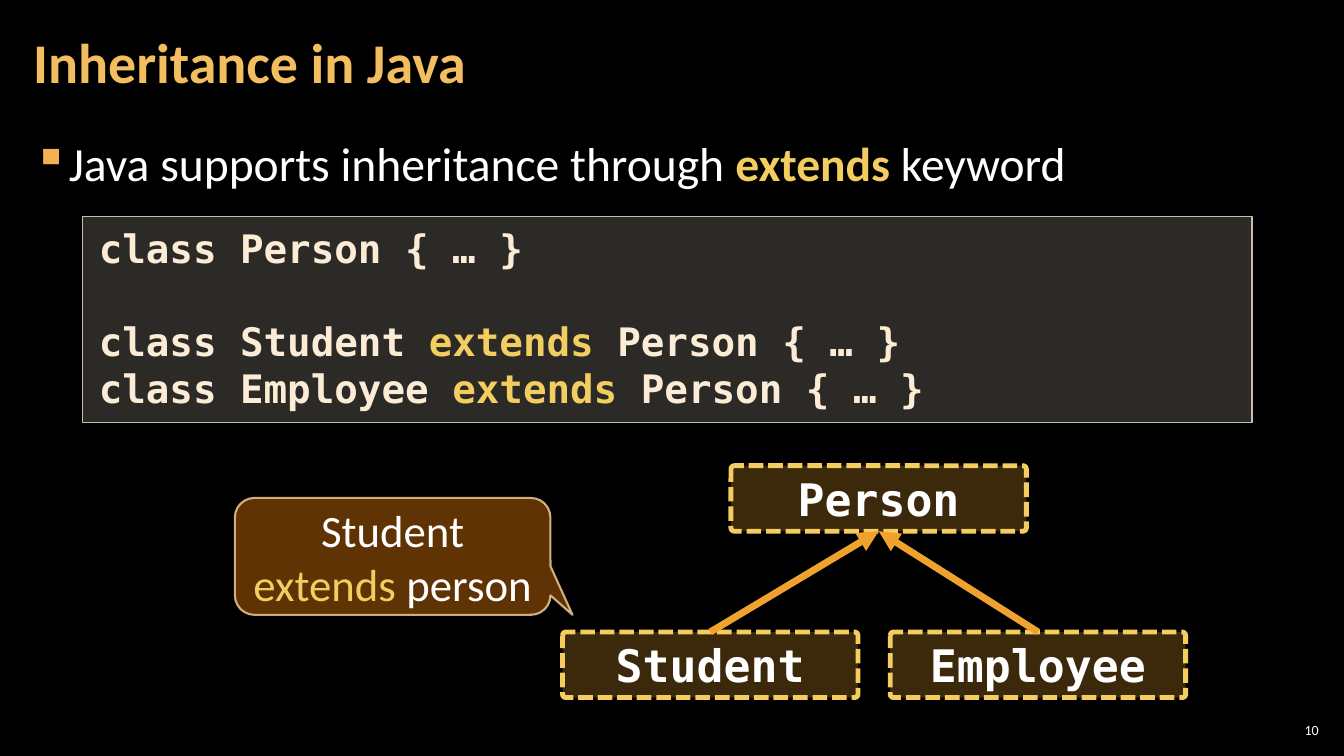
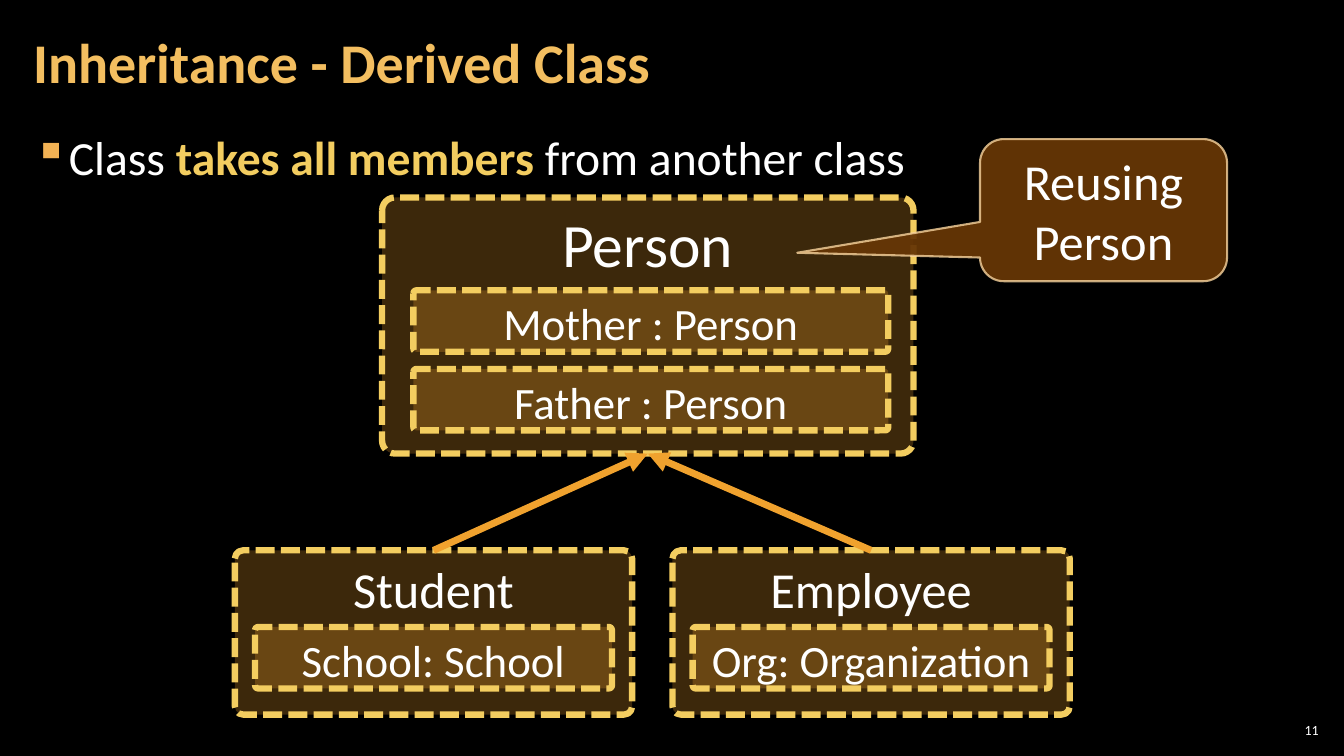
from lxml import etree
from pptx import Presentation
from pptx import util as u
from pptx.dml.color import RGBColor
from pptx.enum import dml, shapes, text
from pptx.oxml.ns import qn

BLACK = RGBColor(0x00, 0x00, 0x00)
WHITE = RGBColor(0xFF, 0xFF, 0xFF)
TITLE_GOLD = RGBColor(0xF3, 0xBE, 0x60)
BULLET_GOLD = RGBColor(0xF2, 0xB2, 0x54)
YELLOW = RGBColor(0xF3, 0xCD, 0x60)
ORANGE = RGBColor(0xF0, 0xA2, 0x2E)
CODE_TEXT = RGBColor(0xFC, 0xEC, 0xD5)
CODE_FILL = RGBColor(0xD9, 0xD5, 0xC7)
CODE_EDGE = RGBColor(0xC7, 0xBF, 0xAC)
CALLOUT_FILL = RGBColor(0x66, 0x36, 0x06)
CALLOUT_EDGE = RGBColor(0xF8, 0xD4, 0x9E)
SANS = "Calibri"
MONO = "DejaVu Sans Mono"


def set_opacity(parent, percent):
    for color in parent.iter(qn("a:srgbClr")):
        etree.SubElement(color, qn("a:alpha"), val=str(percent * 1000))


class Deck:
    def __init__(self):
        self.prs = Presentation()
        self.prs.slide_width = u.Inches(13.33)
        self.prs.slide_height = u.Inches(7.5)
        self.slide = None

    def new_slide(self, title, number):
        self.slide = self.prs.slides.add_slide(self.prs.slide_layouts[6])
        background = self.slide.background.fill
        background.solid()
        background.fore_color.rgb = BLACK
        heading = self.text_area(0.21, 0.04, 10.47, 1.21, (0.12, 0.04))
        heading.vertical_anchor = text.MSO_ANCHOR.MIDDLE
        line = self.add_words(heading.paragraphs[0], title, 40, TITLE_GOLD, bold=True)
        line.line_spacing = 0.9
        footer = self.text_area(12.65, 7.14, 0.47, 0.21, (0.04, 0.04))
        footer.vertical_anchor = text.MSO_ANCHOR.MIDDLE
        page = self.add_words(footer.paragraphs[0], str(number), 10)
        page.alignment = text.PP_ALIGN.RIGHT

    def inset(self, frame, margins):
        frame.word_wrap = True
        frame.margin_left = frame.margin_right = u.Inches(margins[0])
        frame.margin_top = frame.margin_bottom = u.Inches(margins[1])
        return frame

    def text_area(self, left, top, width, height, margins):
        area = self.slide.shapes.add_textbox(
            u.Inches(left), u.Inches(top), u.Inches(width), u.Inches(height))
        return self.inset(area.text_frame, margins)

    def add_words(self, paragraph, marked, size, color=WHITE, face=SANS,
                  bold=False, bold_keywords=False):
        font = paragraph.font
        font.size, font.name = u.Pt(size), face
        if bold:
            font.bold = True
        pieces = marked.split("*")
        if len(pieces) == 1:
            font.color.rgb = color
        for index, piece in enumerate(pieces):
            run = paragraph.add_run()
            run.text = piece
            if len(pieces) > 1:
                keyword = index % 2 == 1
                run.font.color.rgb = YELLOW if keyword else color
                if keyword and bold_keywords:
                    run.font.bold = True
        return paragraph

    def bullet(self, marked, top, spacing):
        body = self.text_area(0.21, top, 12.91, 6.09, (0.12, 0.04))
        point = self.add_words(body.paragraphs[0], marked, 34, bold_keywords=True)
        point.line_spacing = spacing
        point.space_before = point.space_after = u.Pt(6)
        props = point._p.get_or_add_pPr()
        props.set("marL", str(u.Inches(0.33)))
        props.set("indent", str(u.Inches(-0.33)))
        tint = etree.Element(qn("a:buClr"))
        etree.SubElement(tint, qn("a:srgbClr"), val=str(BULLET_GOLD))
        mark = etree.Element(qn("a:buChar"), char="▪")
        for part in (tint, mark):
            props.find(qn("a:defRPr")).addprevious(part)

    def panel(self, kind, left, top, width, height, fill, opacity, edge, weight):
        panel = self.slide.shapes.add_shape(
            kind, u.Inches(left), u.Inches(top), u.Inches(width), u.Inches(height))
        panel.shadow.inherit = False
        panel.fill.solid()
        panel.fill.fore_color.rgb = fill
        set_opacity(panel._element.spPr.find(qn("a:solidFill")), opacity)
        panel.line.color.rgb = edge
        panel.line.width = u.Pt(weight)
        panel.text_frame.word_wrap = True
        panel.text_frame.vertical_anchor = text.MSO_ANCHOR.TOP
        return panel

    def code(self, left, top, width, height, blocks):
        panel = self.panel(shapes.MSO_SHAPE.RECTANGLE, left, top, width, height,
                           CODE_FILL, 20, CODE_EDGE, 1)
        frame = self.inset(panel.text_frame, (0.16, 0.08))
        paragraph = frame.paragraphs[0]
        for block_index, block in enumerate(blocks):
            for line_index, line in enumerate(block):
                if block_index or line_index:
                    paragraph = frame.add_paragraph()
                self.add_words(paragraph, line, 28, CODE_TEXT, MONO, bold=True)
                paragraph.alignment = text.PP_ALIGN.LEFT
                if block_index and not line_index:
                    paragraph.space_before = u.Pt(32.6)

    def class_box(self, label, left, top, width, height, size, face=SANS, weight=4.5):
        box = self.panel(shapes.MSO_SHAPE.ROUNDED_RECTANGLE, left, top, width, height,
                         ORANGE, 25, YELLOW, weight)
        box.adjustments[0] = 0.05
        box.line.dash_style = dml.MSO_LINE.SQUARE_DOT
        name = self.add_words(box.text_frame.paragraphs[0], label, size,
                              face=face, bold=face == MONO)
        name.alignment = text.PP_ALIGN.CENTER
        return box

    def callout(self, marked, left, top, width, height, size, tip):
        bubble = self.panel(shapes.MSO_SHAPE.ROUNDED_RECTANGULAR_CALLOUT,
                            left, top, width, height,
                            CALLOUT_FILL, 95, CALLOUT_EDGE, 1.5)
        set_opacity(bubble._element.spPr.find(qn("a:ln")), 80)
        bubble.adjustments[0], bubble.adjustments[1] = tip
        bubble.text_frame.vertical_anchor = text.MSO_ANCHOR.MIDDLE
        remark = self.add_words(bubble.text_frame.paragraphs[0], marked, size)
        remark.alignment = text.PP_ALIGN.CENTER

    def inherits(self, child, parent):
        arrow = self.slide.shapes.add_connector(shapes.MSO_CONNECTOR.STRAIGHT, 0, 0, 0, 0)
        arrow.begin_connect(child, 0)
        arrow.end_connect(parent, 2)
        arrow.line.color.rgb = ORANGE
        arrow.line.width = u.Pt(5)
        props = arrow._element.spPr
        etree.SubElement(props.find(qn("a:ln")), qn("a:tailEnd"), type="triangle")
        etree.SubElement(props, qn("a:effectLst"))


def java_slide(deck):
    deck.new_slide("Inheritance in Java", 10)
    deck.bullet("Java supports inheritance through *extends* keyword", 1.26, 1.05)
    deck.code(0.82, 2.15, 11.6, 2.04, [
        ["class Person { … }"],
        ["class Student *extends* Person { … }",
         "class Employee *extends* Person { … }"],
    ])
    person, student, employee = [
        deck.class_box(label, left, top, 2.93, 0.65, 32, MONO, 3.5)
        for label, left, top in (("Person", 7.25, 4.62),
                                 ("Student", 5.58, 6.27),
                                 ("Employee", 8.83, 6.27))]
    for child in (student, employee):
        deck.inherits(child, person)
    deck.callout("Student *extends* person", 2.33, 4.94, 3.13, 1.16, 32, (0.57, 0.5))


def derived_slide(deck):
    deck.new_slide("Inheritance - Derived Class", 11)
    deck.bullet("Class *takes all members *from another class", 1.17, 1.1)
    person = deck.class_box("Person", 3.79, 1.96, 5.27, 2.54, 44)
    for row, member in enumerate(("Mother : Person", "Father : Person")):
        deck.class_box(member, 4.1, 2.88 + row * 0.78, 4.71, 0.61, 32)
    for label, member, left in (("Student", "School: School", 2.33),
                                ("Employee", "Org: Organization", 6.67)):
        child = deck.class_box(label, left, 5.46, 3.94, 1.63, 36)
        deck.class_box(member, left + 0.2, 6.22, 3.54, 0.61, 32)
        deck.inherits(child, person)
    deck.callout("Reusing Person", 9.72, 1.38, 2.45, 1.41, 36, (-1.24, 0.3))


def main():
    deck = Deck()
    java_slide(deck)
    derived_slide(deck)
    deck.prs.save("out.pptx")


if __name__ == "__main__":
    main()
